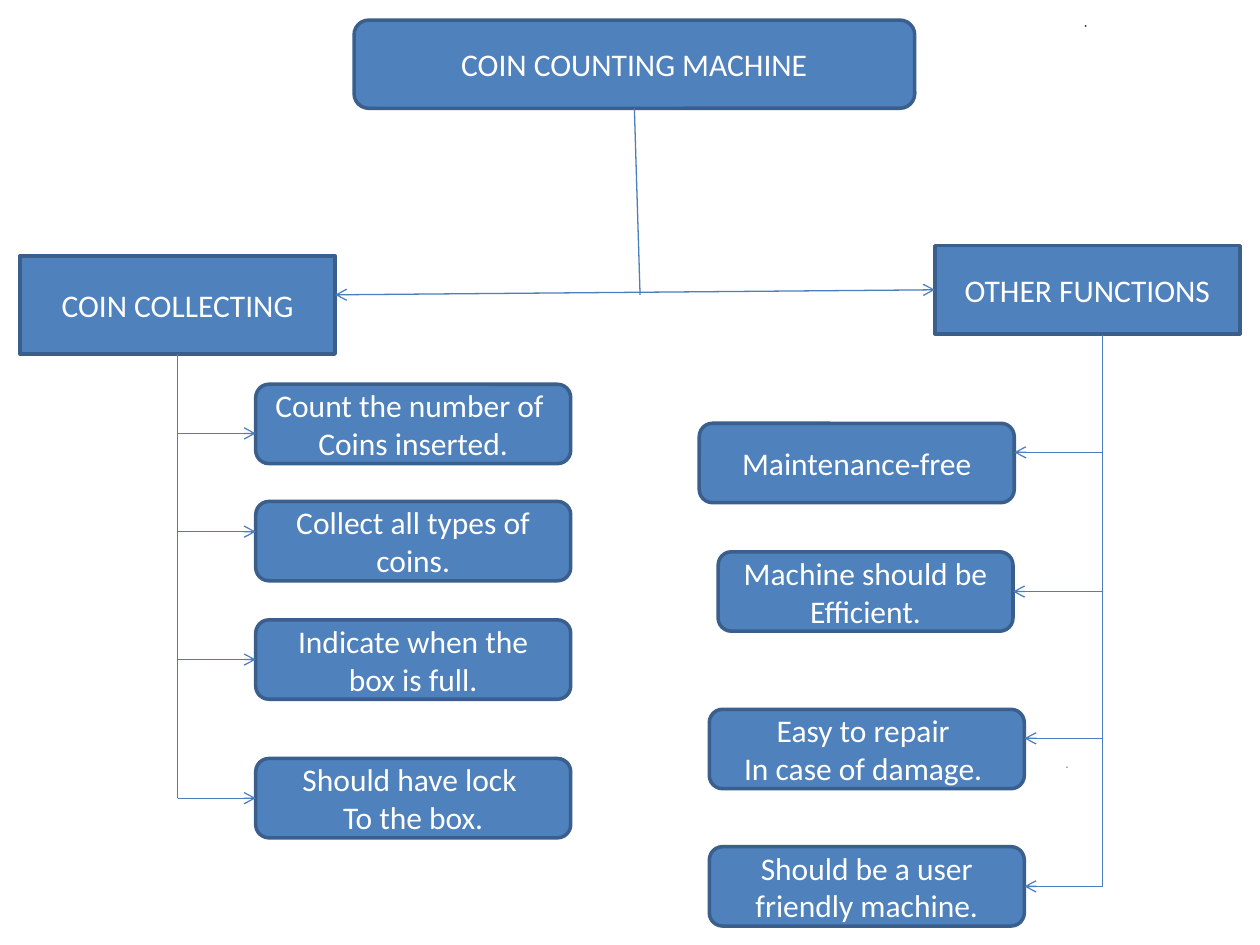
from lxml import etree
from pptx import Presentation
from pptx import util as u
from pptx.dml.color import RGBColor
from pptx.enum import shapes, text
from pptx.oxml import ns

HUES = {"fill": "4F81BD", "edge": "3A5F8C", "line": "4B7EBC",
        "white": "FFFFFF", "black": "000000", "gray": "8C8C8C"}
RECT = shapes.MSO_SHAPE.RECTANGLE
ROUND = shapes.MSO_SHAPE.ROUNDED_RECTANGLE
TOP, LEFT, BOTTOM, RIGHT = range(4)
LEFT_X, RIGHT_X = 1.41, 8.75
DEEP = 0.63

# left, top, width, wording, arrow height (None: middle of the side)
COINS = [
    (2.03, 3.05, 2.5, "Count the number of \nCoins inserted.", 3.44),
    (2.03, 3.98, 2.5, "Collect all types of coins.", 4.22),
    (2.03, 4.92, 2.5, "Indicate when the box is full.", None),
    (2.03, 6.02, 2.5, "Should have lock \nTo the box.", None),
]
OTHERS = [
    (5.55, 3.36, 2.5, "Maintenance-free", 3.59),
    (5.7, 4.38, 2.34, "Machine should be\nEfficient.", None),
    (5.63, 5.63, 2.5, "Easy to repair \nIn case of damage. ", 5.86),
    (5.63, 6.72, 2.5, "Should be a user friendly machine.", None),
]


def hue(name):
    """Return a named colour."""
    return RGBColor.from_string(HUES[name])


def write(frame, words, size, tint):
    """Fill a text frame with centred paragraphs."""
    frame.text = words
    frame.word_wrap = True
    for para in frame.paragraphs:
        para.alignment = text.PP_ALIGN.CENTER
        para.font.name = "Calibri"
        para.font.size = u.Pt(size)
        para.font.color.rgb = hue(tint)


def add_box(slide, kind, left, top, width, height, words):
    """Add a filled box with a label."""
    box = slide.shapes.add_shape(kind, *map(u.Inches, (left, top, width, height)))
    box.shadow.inherit = False
    box.fill.solid()
    box.fill.fore_color.rgb = hue("fill")
    box.line.color.rgb = hue("edge")
    box.line.width = u.Pt(2)
    box.text_frame.vertical_anchor = text.MSO_ANCHOR.MIDDLE
    write(box.text_frame, words, 18, "white")
    return box


def add_line(slide, start, end, ends=()):
    """Add a thin line, with open arrowheads at the named ends."""
    line = slide.shapes.add_connector(
        shapes.MSO_CONNECTOR.STRAIGHT, *map(u.Inches, (*start, *end)))
    line.line.color.rgb = hue("line")
    line.line.width = u.Pt(0.75)
    pen = line.line._get_or_add_ln()
    for name in ends:
        etree.SubElement(pen, ns.qn(f"a:{name}"), type="arrow")
    etree.SubElement(line._element.spPr, ns.qn("a:effectLst"))
    return line


def add_branch(slide, trunk, items, side):
    """Add the boxes of one branch, each with an arrow from the trunk."""
    for left, top, width, words, high in items:
        box = add_box(slide, ROUND, left, top, width, DEEP, words)
        edge = left if side == LEFT else left + width
        y = high or top + DEEP / 2
        arrow = add_line(slide, (trunk, y), (edge, y), ["tailEnd"])
        if high is None:
            arrow.end_connect(box, side)


def add_dot(slide, left, top, width, height, tint, turn=0):
    """Add a small full stop."""
    box = slide.shapes.add_textbox(*map(u.Inches, (left, top, width, height)))
    box.rotation = turn
    frame = box.text_frame
    frame.margin_left = frame.margin_right = 0
    if turn:
        frame.vertical_anchor = text.MSO_ANCHOR.MIDDLE
    write(frame, ".", 8, tint)


def main():
    """Build the chart of the machine's functions."""
    deck = Presentation()
    deck.slide_width, deck.slide_height = u.Inches(10), u.Inches(7.5)
    slide = deck.slides.add_slide(deck.slide_layouts[6])
    add_dot(slide, 8.45, -0.17, 0.32, 0.69, "black", 349.6)
    add_dot(slide, 8.44, 5.94, 0.06, 0.23, "gray")

    head = add_box(slide, ROUND, 2.81, 0.16, 4.45, 0.7, "COIN COUNTING MACHINE")
    coin = add_box(slide, RECT, 0.16, 2.03, 2.5, 0.78, "COIN COLLECTING")
    other = add_box(slide, RECT, 7.42, 1.95, 2.42, 0.7, "OTHER FUNCTIONS")

    stem = add_line(slide, (5.04, 0.86), (5.08, 2.34))
    stem.begin_connect(head, BOTTOM)
    cross = add_line(slide, (2.66, 2.34), (7.42, 2.3), ["headEnd", "tailEnd"])
    cross.end_connect(other, LEFT)
    trunk = add_line(slide, (LEFT_X, 2.81), (LEFT_X, 6.33))
    trunk.begin_connect(coin, BOTTOM)
    add_line(slide, (RIGHT_X, 2.66), (RIGHT_X, 7.03))

    add_branch(slide, LEFT_X, COINS, LEFT)
    add_branch(slide, RIGHT_X, OTHERS, RIGHT)
    deck.save("out.pptx")


if __name__ == "__main__":
    main()
